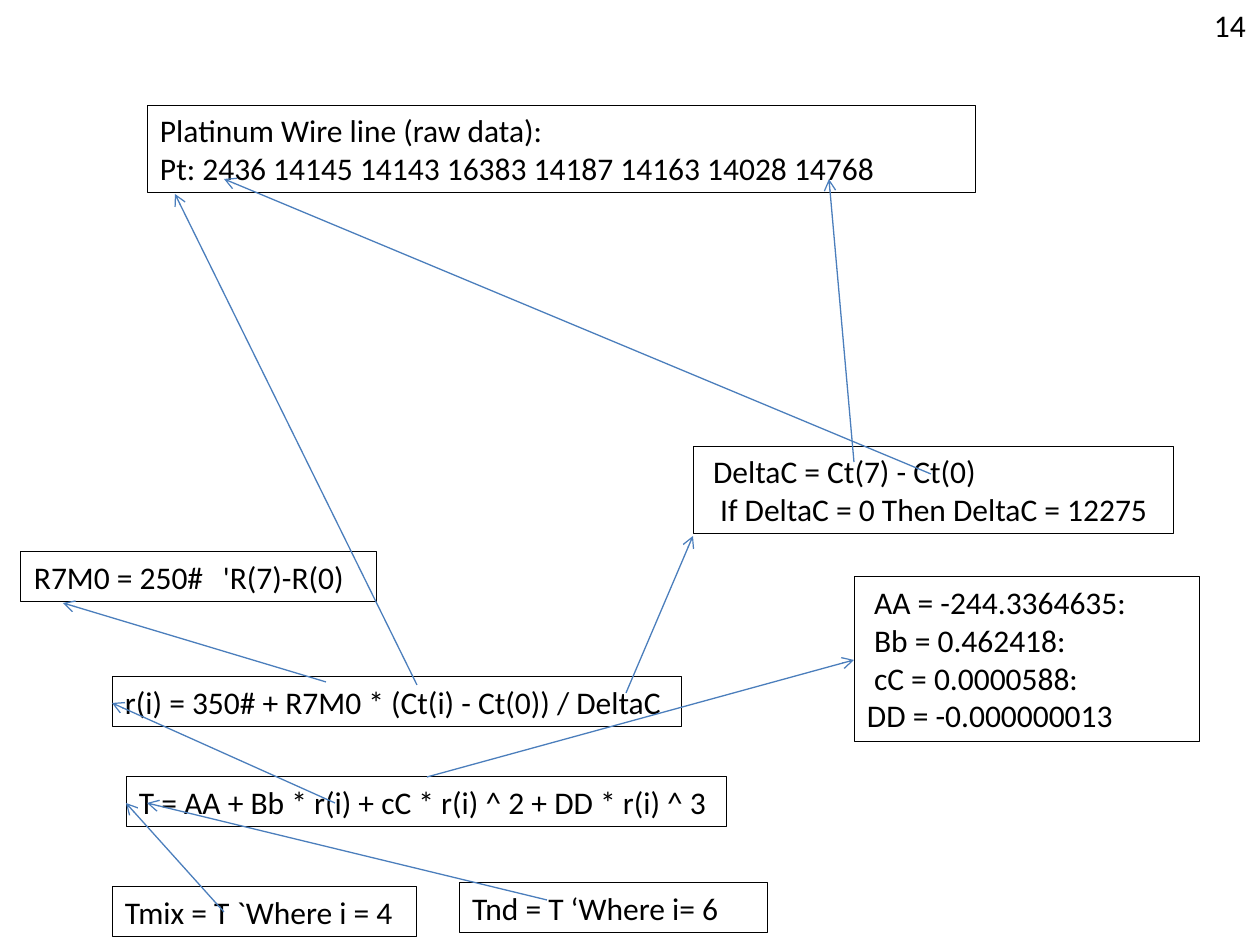
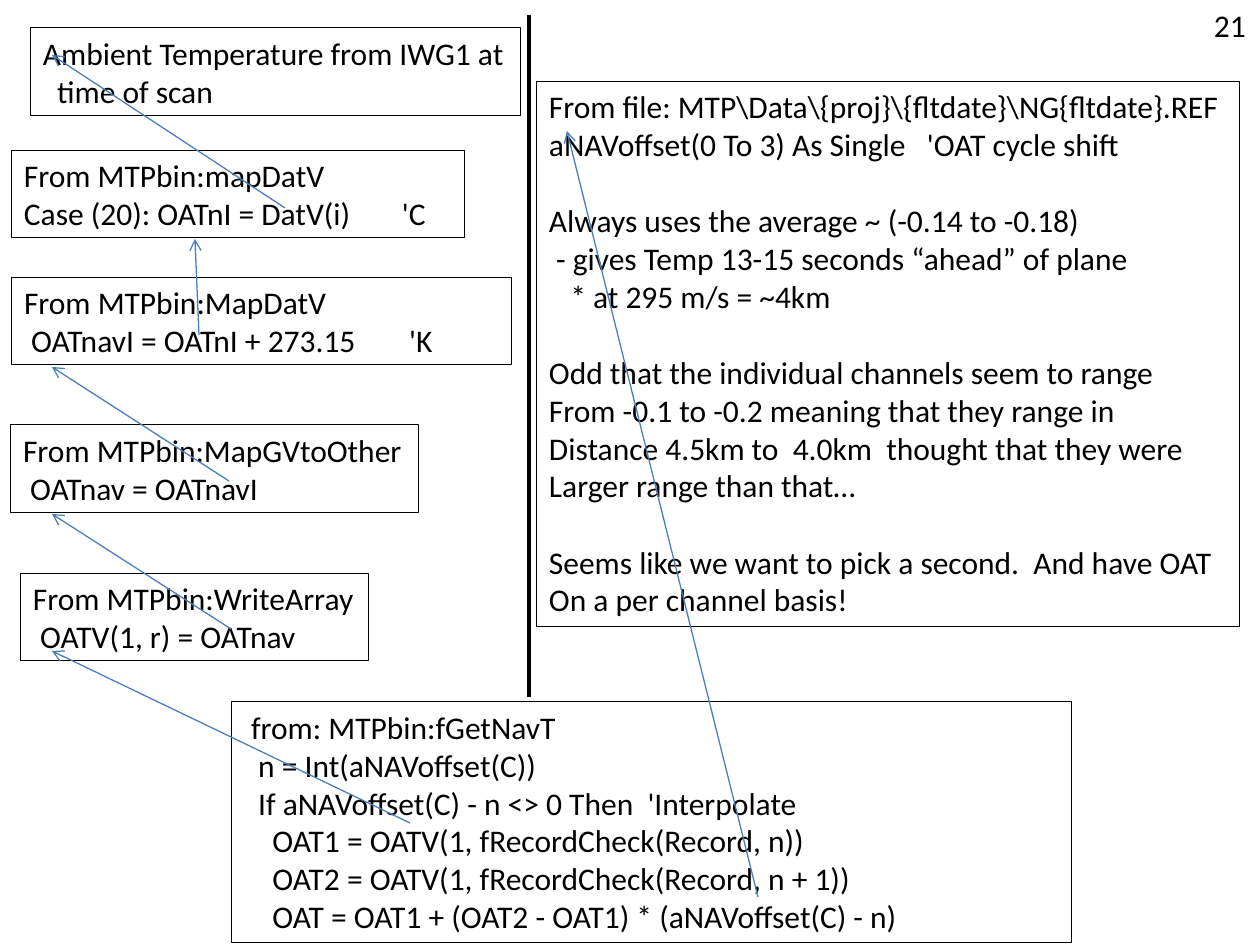
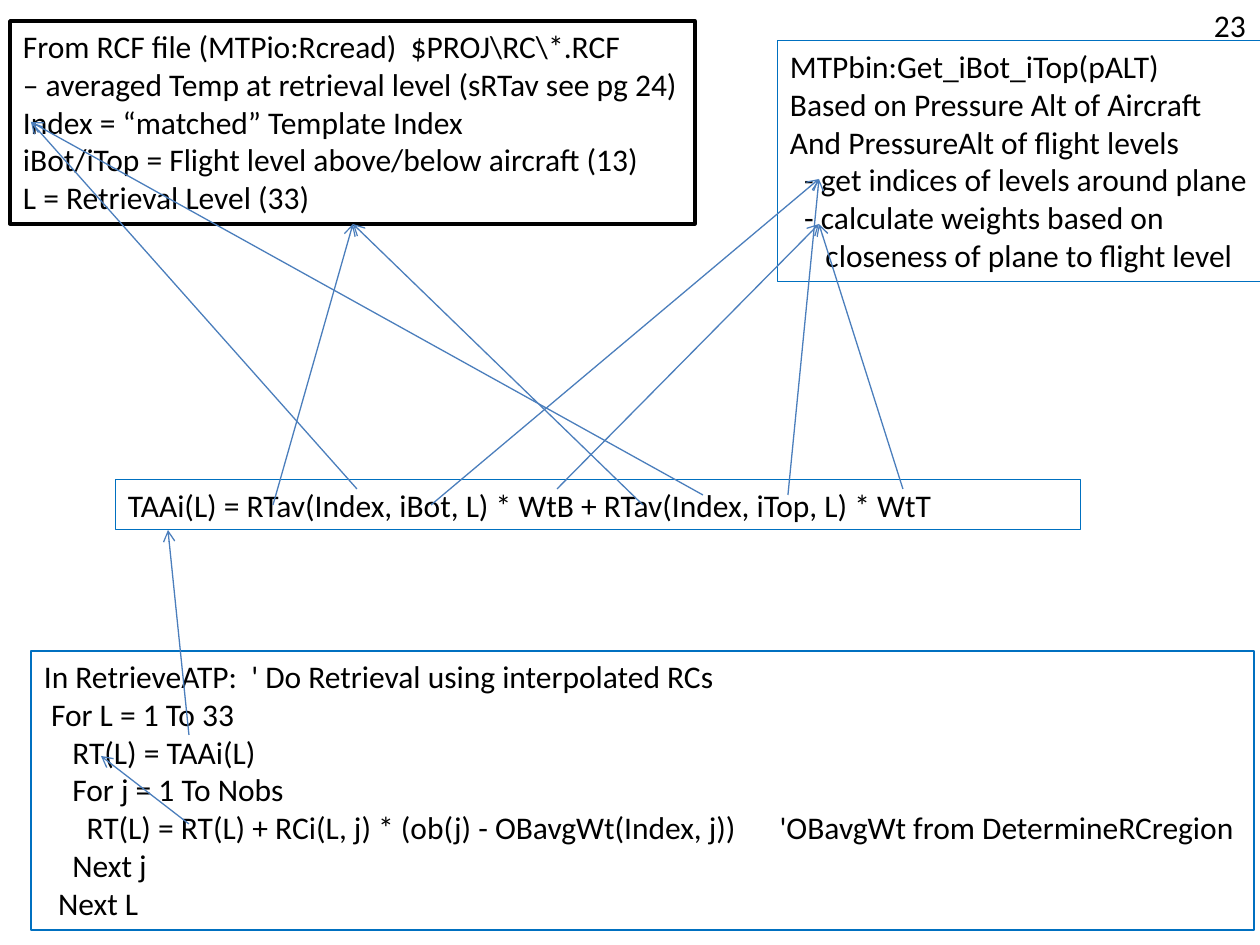
from dataclasses import dataclass

from lxml import etree
from pptx import Presentation
from pptx.dml.color import RGBColor
from pptx.enum import shapes, text
from pptx.oxml import ns
from pptx.util import Emu, Pt

PIXEL = 914400 // 126


@dataclass(frozen=True)
class Theme:
    font: str = "Calibri"
    size: int = 18
    ink: str = "000000"
    arrow: str = "4B7EBC"
    accent: str = "0070C0"
    thin: float = 0.5
    medium: float = 0.75
    thick: float = 2
    inset: int = 13
    inset_top: int = 6
    line_height: float = 38.17
    space_width: float = 7.1
    gap: int = 22


theme = Theme()


def write_box(page, left, top, width, lines, color=theme.ink, weight=theme.thin, tab=None):
    """Lines are (indent in spaces, text), with a third item where a gap comes before."""
    rows = len(lines) + sum(len(line) > 2 for line in lines)
    height = round(2 * theme.inset_top + theme.line_height * rows)
    box = page.shapes.add_textbox(*(Emu(n * PIXEL) for n in (left, top, width, height)))
    if color:
        box.line.color.rgb = RGBColor.from_string(color)
        box.line.width = Pt(weight)
    frame = box.text_frame
    frame.word_wrap = True
    frame.auto_size = text.MSO_AUTO_SIZE.NONE
    frame.margin_left = Emu(theme.inset * PIXEL)
    frame.margin_right = 0
    frame.margin_top = frame.margin_bottom = Emu(theme.inset_top * PIXEL)
    for number, (indent, words, *gap) in enumerate(lines):
        para = frame.add_paragraph() if number else frame.paragraphs[0]
        if gap:
            para.space_before = Pt(theme.gap)
        properties = para._p.get_or_add_pPr()
        properties.set("marL", str(round(indent * theme.space_width * PIXEL)))
        properties.set("indent", "0")
        if "\t" in words:
            stops = etree.SubElement(properties, ns.qn("a:tabLst"))
            etree.SubElement(stops, ns.qn("a:tab"), pos=str(tab * PIXEL), algn="l")
        span = para.add_run()
        span.text = words
        span.font.name = theme.font
        span.font.size = Pt(theme.size)
        span.font.color.rgb = RGBColor.from_string(theme.ink)


def draw_line(page, ends, color=theme.arrow, weight=theme.medium, head=True):
    line = page.shapes.add_connector(
        shapes.MSO_CONNECTOR.STRAIGHT, *(Emu(n * PIXEL) for n in ends))
    line.line.color.rgb = RGBColor.from_string(color)
    line.line.width = Pt(weight)
    if head:
        etree.SubElement(line.line._get_or_add_ln(), ns.qn("a:tailEnd"), type="arrow")
    etree.SubElement(line._element.spPr, ns.qn("a:effectLst"))


deck = Presentation()
deck.slide_width = Emu(1260 * PIXEL)
deck.slide_height = Emu(945 * PIXEL)

# Pages with their numbers
pages = []
for number in ("14", "21", "23"):
    page = deck.slides.add_slide(deck.slide_layouts[6])
    write_box(page, 1201, 0, 58, [(0, number)], color=None)
    pages.append(page)
platinum, ambient, retrieval = pages

# Platinum wire: formulas from raw data to temperature
write_box(platinum, 147, 105, 829, [
    (0, "Platinum Wire line (raw data):"),
    (0, "Pt: 2436 14145 14143 16383 14187 14163 14028 14768")])
write_box(platinum, 693, 446, 481, [
    (1, "DeltaC = Ct(7) - Ct(0)"),
    (2, "If DeltaC = 0 Then DeltaC = 12275")])
write_box(platinum, 21, 552, 356, [(0, "R7M0 = 250#\t'R(7)-R(0)")], tab=206)
write_box(platinum, 854, 577, 346, [
    (1, "AA = -244.3364635:"),
    (1, "Bb = 0.462418:"),
    (1, "cC = 0.0000588:"),
    (0, "DD = -0.000000013")])
write_box(platinum, 112, 677, 570, [(0, "r(i) = 350# + R7M0 * (Ct(i) - Ct(0)) / DeltaC")])
write_box(platinum, 126, 777, 601, [(0, "T = AA + Bb * r(i) + cC * r(i) ^ 2 + DD * r(i) ^ 3")])
write_box(platinum, 112, 887, 305, [(0, "Tmix = T `Where i = 4")])
write_box(platinum, 459, 883, 308, [(0, "Tnd = T ‘Where i= 6")])

# Ambient temperature: chain of variables on the left
write_box(ambient, 30, 28, 491, [
    (0, "Ambient Temperature from IWG1 at"),
    (2, "time of scan")])
write_box(ambient, 11, 150, 454, [
    (0, "From MTPbin:mapDatV"),
    (0, "Case (20): OATnI = DatV(i)\t'C")], tab=399)
write_box(ambient, 11, 277, 501, [
    (0, "From MTPbin:MapDatV"),
    (1, "OATnavI = OATnI + 273.15\t'K")], tab=447)
write_box(ambient, 10, 425, 408, [
    (0, "From MTPbin:MapGVtoOther"),
    (1, "OATnav = OATnavI")])
write_box(ambient, 20, 573, 349, [
    (0, "From MTPbin:WriteArray"),
    (1, "OATV(1, r) = OATnav")])

# Ambient temperature: offset notes and interpolation
write_box(ambient, 536, 81, 704, [
    (0, r"From file: MTP\Data\{proj}\{fltdate}\NG{fltdate}.REF"),
    (0, "aNAVoffset(0 To 3) As Single\t'OAT cycle shift"),
    (0, "Always uses the average ~ (-0.14 to -0.18)", "gap"),
    (1, "- gives Temp 13-15 seconds “ahead” of plane"),
    (3, "* at 295 m/s = ~4km"),
    (0, "Odd that the individual channels seem to range", "gap"),
    (0, "From -0.1 to -0.2 meaning that they range in"),
    (0, "Distance 4.5km to  4.0km  thought that they were"),
    (0, "Larger range than that…"),
    (0, "Seems like we want to pick a second.  And have OAT", "gap"),
    (0, "On a per channel basis!")], tab=408)
write_box(ambient, 231, 702, 840, [
    (1, "from: MTPbin:fGetNavT"),
    (2, "n = Int(aNAVoffset(C))"),
    (2, "If aNAVoffset(C) - n <> 0 Then  'Interpolate"),
    (4, "OAT1 = OATV(1, fRecordCheck(Record, n))"),
    (4, "OAT2 = OATV(1, fRecordCheck(Record, n + 1))"),
    (4, "OAT = OAT1 + (OAT2 - OAT1) * (aNAVoffset(C) - n)")])
draw_line(ambient, (529, 15, 529, 697), theme.ink, theme.thick, head=False)

# Retrieval: template file, flight levels, weighting and loop
write_box(retrieval, 10, 21, 685, [
    (0, r"From RCF file (MTPio:Rcread)  $PROJ\RC\*.RCF"),
    (0, "– averaged Temp at retrieval level (sRTav see pg 24)"),
    (0, "Index = “matched” Template Index"),
    (0, "iBot/iTop = Flight level above/below aircraft (13)"),
    (0, "L = Retrieval Level (33)")], weight=theme.thick)
write_box(retrieval, 777, 41, 489, [
    (0, "MTPbin:Get_iBot_iTop(pALT)"),
    (0, "Based on Pressure Alt of Aircraft"),
    (0, "And PressureAlt of flight levels"),
    (2, "- get indices of levels around plane"),
    (2, "- calculate weights based on"),
    (5, "closeness of plane to flight level")], theme.accent)
write_box(retrieval, 115, 480, 966, [
    (0, "TAAi(L) = RTav(Index, iBot, L) * WtB + RTav(Index, iTop, L) * WtT")], theme.accent)
write_box(retrieval, 31, 651, 1223, [
    (0, "In RetrieveATP:  ' Do Retrieval using interpolated RCs"),
    (1, "For L = 1 To 33"),
    (4, "RT(L) = TAAi(L)"),
    (4, "For j = 1 To Nobs"),
    (6, "RT(L) = RT(L) + RCi(L, j) * (ob(j) - OBavgWt(Index, j))\t'OBavgWt from DetermineRCregion"),
    (4, "Next j"),
    (2, "Next L")], theme.accent, theme.medium, tab=727)

# Arrows from each variable to where it is defined
arrows = [
    (platinum, [
        (224, 912, 126, 803), (427, 777, 854, 660), (335, 803, 112, 703),
        (626, 693, 693, 536), (326, 682, 63, 603), (854, 462, 829, 179),
        (931, 474, 224, 179), (417, 685, 175, 194), (547, 900, 147, 803)]),
    (ambient, [
        (410, 823, 52, 651), (231, 629, 52, 514), (229, 481, 52, 367),
        (199, 335, 195, 239), (285, 208, 52, 55), (758, 897, 567, 131)]),
    (retrieval, [
        (189, 735, 168, 530), (273, 505, 353, 224), (643, 505, 353, 224),
        (189, 824, 101, 756), (431, 505, 819, 179), (788, 495, 819, 179),
        (557, 489, 819, 224), (903, 489, 819, 224), (357, 489, 31, 122),
        (703, 495, 31, 122)]),
]
for page, lines in arrows:
    for ends in lines:
        draw_line(page, ends)

deck.save("out.pptx")
